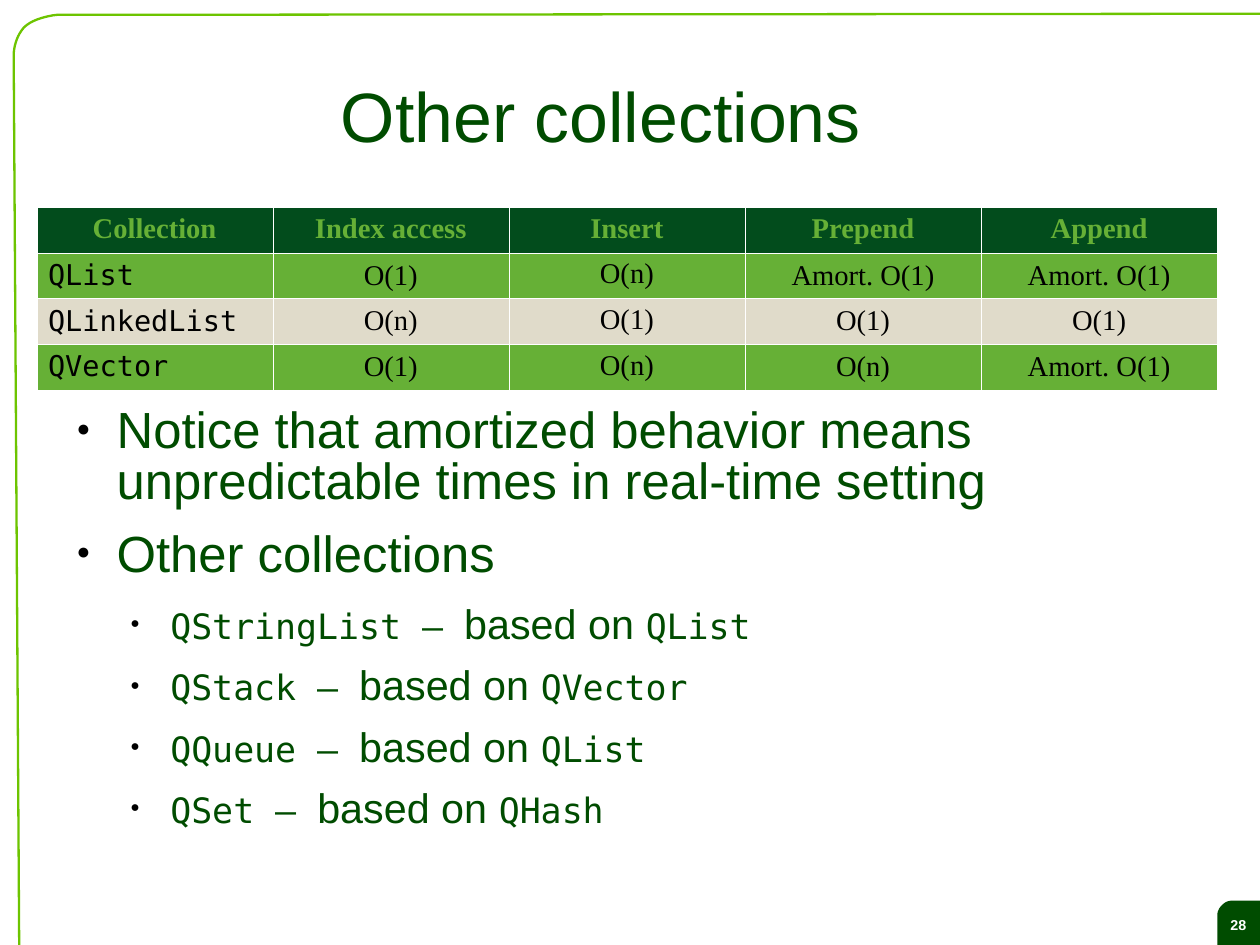
"""Build the slide on other Qt collections and their costs."""
from lxml.etree import SubElement as Sub
from pptx import Presentation
from pptx.dml.color import RGBColor as Rgb
from pptx.enum.text import MSO_ANCHOR as Anchor, PP_ALIGN as Align
from pptx.oxml.ns import qn
from pptx.util import Inches, Pt

HUES = {"dark": "004C00", "line": "6DC400", "head": "024C1C", "green": "66B036",
        "sand": "E0DBCA", "white": "FFFFFF", "black": "000000"}
SANS, MONO, SERIF = "Arial", "DejaVu Sans Mono", "Times New Roman"
WIDE, HIGH = 28 / 2.54, 21 / 2.54

COSTS = [
    ("Collection", "Index access", "Insert", "Prepend", "Append"),
    ("QList", "O(1)", "O(n)", "Amort. O(1)", "Amort. O(1)"),
    ("QLinkedList", "O(n)", "O(1)", "O(1)", "O(1)"),
    ("QVector", "O(1)", "O(n)", "O(n)", "Amort. O(1)"),
]
NOTES = ["Notice that amortized behavior means unpredictable times in real-time setting",
         "Other collections"]
BASES = [("QStringList", "QList"), ("QStack", "QVector"),
         ("QQueue", "QList"), ("QSet", "QHash")]

FRAME = [(0.5, 0.13), (0.49, 0.13, 0.3, 0.15, 0.21, 0.24),
         (0.12, 0.34, 0.12, 0.48, 0.12, 0.48),
         (0.17, 8.55), (11.32, 8.57), (11.27, 0.12)]
BADGE = [(10.79, 7.88), (11.1, 7.88), (11.1, 8.14),
         (11.1, 8.19, 11.1, 8.21, 11.07, 8.25),
         (11.03, 8.3, 10.99, 8.3, 10.94, 8.3), (10.65, 8.3), (10.65, 8.01),
         (10.65, 8, 10.65, 7.96, 10.69, 7.92),
         (10.73, 7.88, 10.76, 7.88, 10.79, 7.88)]


def hue(name):
    """Return the named colour."""
    return Rgb.from_string(HUES[name])


def trace(steps, count=12):
    """Turn corners and Bezier steps into a list of points."""
    spots = [steps[0]]
    for step in steps[1:]:
        if len(step) == 2:
            spots.append(step)
            continue
        ends = [spots[-1], step[:2], step[2:4], step[4:]]
        for i in range(1, count + 1):
            t = i / count
            rates = ((1 - t) ** 3, 3 * t * (1 - t) ** 2, 3 * t * t * (1 - t), t ** 3)
            spots.append(tuple(sum(r * e[k] for r, e in zip(rates, ends))
                               for k in (0, 1)))
    return spots


def add_form(slide, steps, fill=None, line=None):
    """Draw a closed outline with a fill or a line."""
    spots = [(Inches(x), Inches(y)) for x, y in trace(steps)]
    pen = slide.shapes.build_freeform(*spots[0])
    pen.add_line_segments(spots[1:], close=True)
    form = pen.convert_to_shape()
    form.shadow.inherit = False
    if fill:
        form.fill.solid()
        form.fill.fore_color.rgb = hue(fill)
    else:
        form.fill.background()
    if line:
        form.line.color.rgb = hue(line)
        form.line.width = Pt(1.45)
    else:
        form.line.fill.background()


def style(run, face, size, tint="dark", bold=False):
    """Set the font of a run."""
    font = run.font
    font.name, font.size, font.bold = face, Pt(size), bold
    font.color.rgb = hue(tint)


def add_box(slide, area, pads, anchor=Anchor.TOP):
    """Add a wrapping text box and return its frame."""
    frame = slide.shapes.add_textbox(*map(Inches, area)).text_frame
    frame.word_wrap = True
    frame.vertical_anchor = anchor
    set_pads(frame, pads)
    return frame


def set_pads(host, pads):
    """Set the four margins of a frame or cell."""
    (host.margin_left, host.margin_top,
     host.margin_right, host.margin_bottom) = map(Inches, pads)


def add_label(slide, area, pads, text, size, tint, bold=False):
    """Add one centred line of text."""
    frame = add_box(slide, area, pads, Anchor.MIDDLE)
    frame.text = text
    para = frame.paragraphs[0]
    para.alignment, para.line_spacing = Align.CENTER, 0.93
    style(para.runs[0], SANS, size, tint, bold)


def add_item(frame, first, level, parts):
    """Add a bullet made of (text, face, size) parts."""
    para = frame.paragraphs[0] if first else frame.add_paragraph()
    para.level = level
    para.line_spacing = (0.83, 0.87)[level]
    para.space_after = Pt((14.3, 11.4)[level])
    props = para._p.get_or_add_pPr()
    props.set("marL", str(Inches(0.47 * (level + 1))))
    props.set("indent", str(Inches(-0.35)))
    Sub(Sub(props, qn("a:buClr")), qn("a:srgbClr"), val=HUES["black"])
    Sub(props, qn("a:buSzPct"), val="45000")
    Sub(props, qn("a:buFont"), typeface=SANS)
    Sub(props, qn("a:buChar"), char="●")
    for text, face, size in parts:
        run = para.add_run()
        run.text = text
        style(run, face, size)


def add_edges(cell):
    """Give a cell thin white borders."""
    props = cell._tc.get_or_add_tcPr()
    for side in ("lnL", "lnR", "lnT", "lnB"):
        edge = Sub(props, qn("a:" + side), w=str(Pt(0.06)))
        Sub(Sub(edge, qn("a:solidFill")), qn("a:srgbClr"), val=HUES["white"])


def add_costs(slide, area):
    """Add the table of costs."""
    table = slide.shapes.add_table(len(COSTS), len(COSTS[0]), *map(Inches, area)).table
    for r, row in enumerate(COSTS):
        for c, text in enumerate(row):
            cell = table.cell(r, c)
            head, name = r == 0, r > 0 and c == 0
            add_edges(cell)
            cell.fill.solid()
            cell.fill.fore_color.rgb = hue("head" if head else ("sand", "green")[r % 2])
            side = 0.04 if head and c != 2 else 0.1
            set_pads(cell, (side, 0.05, side, 0.05))
            cell.vertical_anchor = Anchor.TOP if head or c == 2 else Anchor.MIDDLE
            cell.text = text
            para = cell.text_frame.paragraphs[0]
            para.alignment = Align.LEFT if name else Align.CENTER
            if name:
                para.line_spacing = 0.98
            style(para.runs[0], MONO if name else SERIF, 18,
                  "green" if head else "black", head)


def add_notes(slide, area):
    """Add the bullets under the table."""
    frame = add_box(slide, area, (0, 0.03, 0, 0))
    for i, note in enumerate(NOTES):
        add_item(frame, i == 0, 0, [(note, SANS, 32)])
    for name, base in BASES:
        add_item(frame, False, 1, [(name + " – ", MONO, 22),
                                   ("based on ", SANS, 26), (base, MONO, 22)])


def main():
    """Build and save the slide."""
    deck = Presentation()
    deck.slide_width, deck.slide_height = Inches(WIDE), Inches(HIGH)
    slide = deck.slides.add_slide(deck.slide_layouts[6])
    add_form(slide, BADGE, fill="dark")
    add_label(slide, (10.57, 7.88, 0.53, 0.43), (0.11, 0.07, 0.11, 0.06),
              "28", 9, "white", True)
    add_form(slide, FRAME, line="line")
    add_label(slide, (1.68, 0.33, 7.16, 1.38), (0, 0.04, 0, 0),
              "Other collections", 44, "dark")
    add_notes(slide, (0.55, 3.54, 9.92, 3.98))
    add_costs(slide, (0.32, 1.81, 10.33, 1.57))
    deck.save("out.pptx")


if __name__ == "__main__":
    main()
